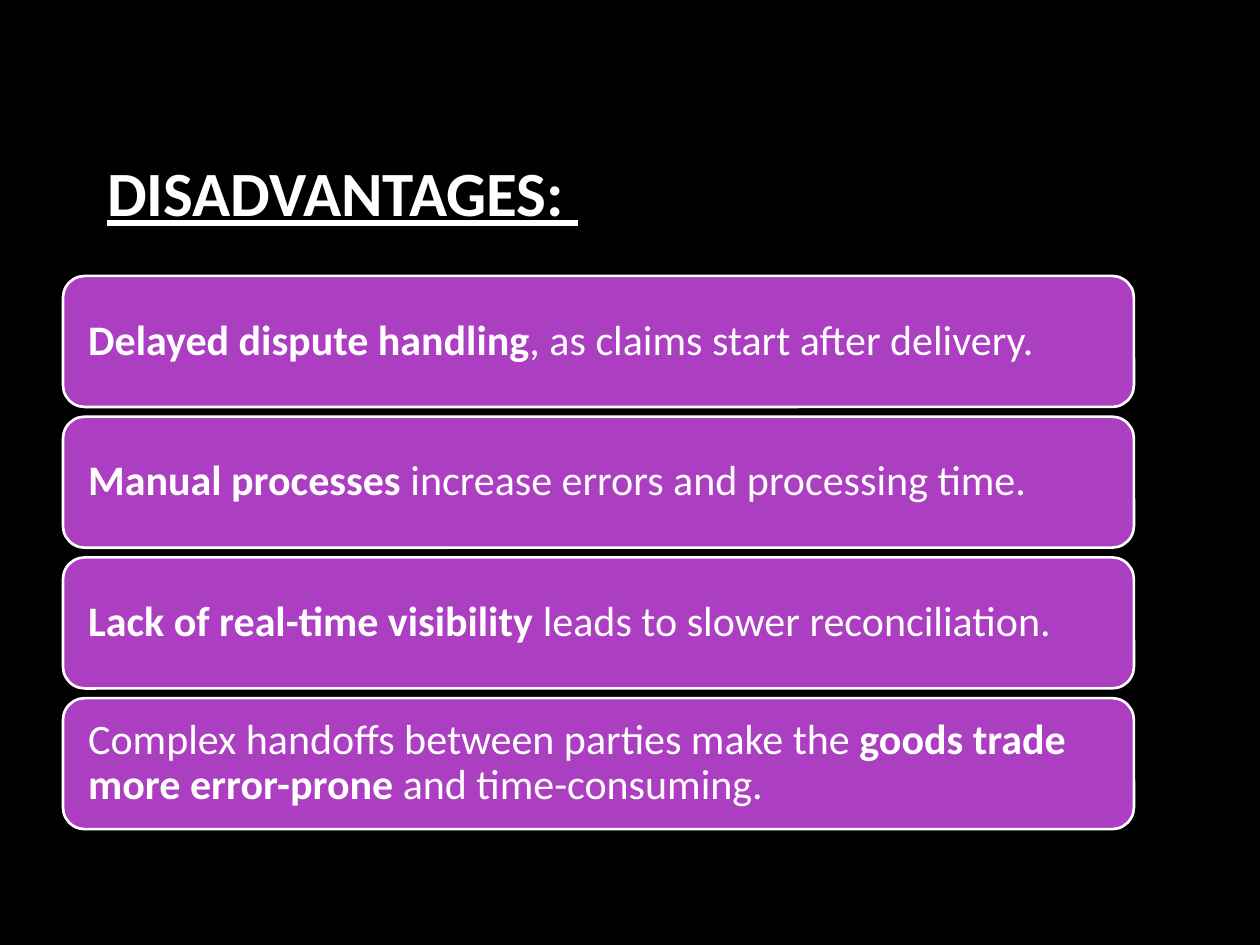
import pptx
import pptx.util
from pptx.dml.color import RGBColor
from pptx.enum.shapes import MSO_SHAPE
from pptx.enum.text import MSO_ANCHOR, MSO_AUTO_SIZE, PP_ALIGN

BLACK = RGBColor(0x00, 0x00, 0x00)
WHITE = RGBColor(0xFF, 0xFF, 0xFF)
PURPLE = RGBColor(0xAC, 0x3E, 0xC1)
FONT = "Calibri"

HEADING = "DISADVANTAGES: "
# Each card is a list of (text, bold) runs.
CARDS = [
    [("Delayed dispute handling", True),
     (", as claims start after delivery.", False)],
    [("Manual processes", True),
     (" increase errors and processing time.", False)],
    [("Lack of real-time visibility", True),
     (" leads to slower reconciliation.", False)],
    [("Complex handoffs between parties make the ", False),
     ("goods trade more error-prone", True),
     (" and time-consuming.", False)],
]

Inches, Pt = pptx.util.Inches, pptx.util.Pt
SLIDE_W, SLIDE_H = Inches(10), Inches(7.5)
CARD_LEFT, CARD_W = int(SLIDE_W * 0.05), int(SLIDE_W * 0.85)
CARDS_TOP, CARD_H = Inches(2.19), Inches(1.04)
CARD_PITCH = Inches(1.117)
CARD_INSET = Inches(0.15)


def style_font(font, size):
    font.name = FONT
    font.size = Pt(size)
    font.color.rgb = WHITE


def add_heading(slide):
    title = slide.shapes.title
    title.left, title.top = Inches(0.75), Inches(1.17)
    title.width, title.height = Inches(5.25), Inches(1.31)
    frame = title.text_frame
    frame.text = HEADING
    frame.auto_size = MSO_AUTO_SIZE.NONE
    frame.vertical_anchor = MSO_ANCHOR.TOP
    paragraph = frame.paragraphs[0]
    paragraph.alignment = PP_ALIGN.LEFT
    style_font(paragraph.font, 36)
    paragraph.font.bold = True
    paragraph.font.underline = True


def add_card(slide, row, runs):
    card = slide.shapes.add_shape(
        MSO_SHAPE.ROUNDED_RECTANGLE,
        CARD_LEFT, CARDS_TOP + row * CARD_PITCH, CARD_W, CARD_H)
    card.shadow.inherit = False
    card.fill.solid()
    card.fill.fore_color.rgb = PURPLE
    card.line.color.rgb = WHITE
    card.line.width = Pt(1.5)

    frame = card.text_frame
    frame.word_wrap = True
    frame.vertical_anchor = MSO_ANCHOR.MIDDLE
    frame.margin_left = frame.margin_right = CARD_INSET
    frame.margin_top = frame.margin_bottom = CARD_INSET
    paragraph = frame.paragraphs[0]
    paragraph.alignment = PP_ALIGN.LEFT
    paragraph.line_spacing = 0.9
    style_font(paragraph.font, 24)
    for text, bold in runs:
        run = paragraph.add_run()
        run.text = text
        run.font.bold = bold


def main():
    deck = pptx.Presentation()
    deck.slide_width, deck.slide_height = SLIDE_W, SLIDE_H
    slide = deck.slides.add_slide(deck.slide_layouts.get_by_name("Title Only"))
    slide.background.fill.solid()
    slide.background.fill.fore_color.rgb = BLACK
    add_heading(slide)
    for row, runs in enumerate(CARDS):
        add_card(slide, row, runs)
    deck.save("out.pptx")


if __name__ == "__main__":
    main()
